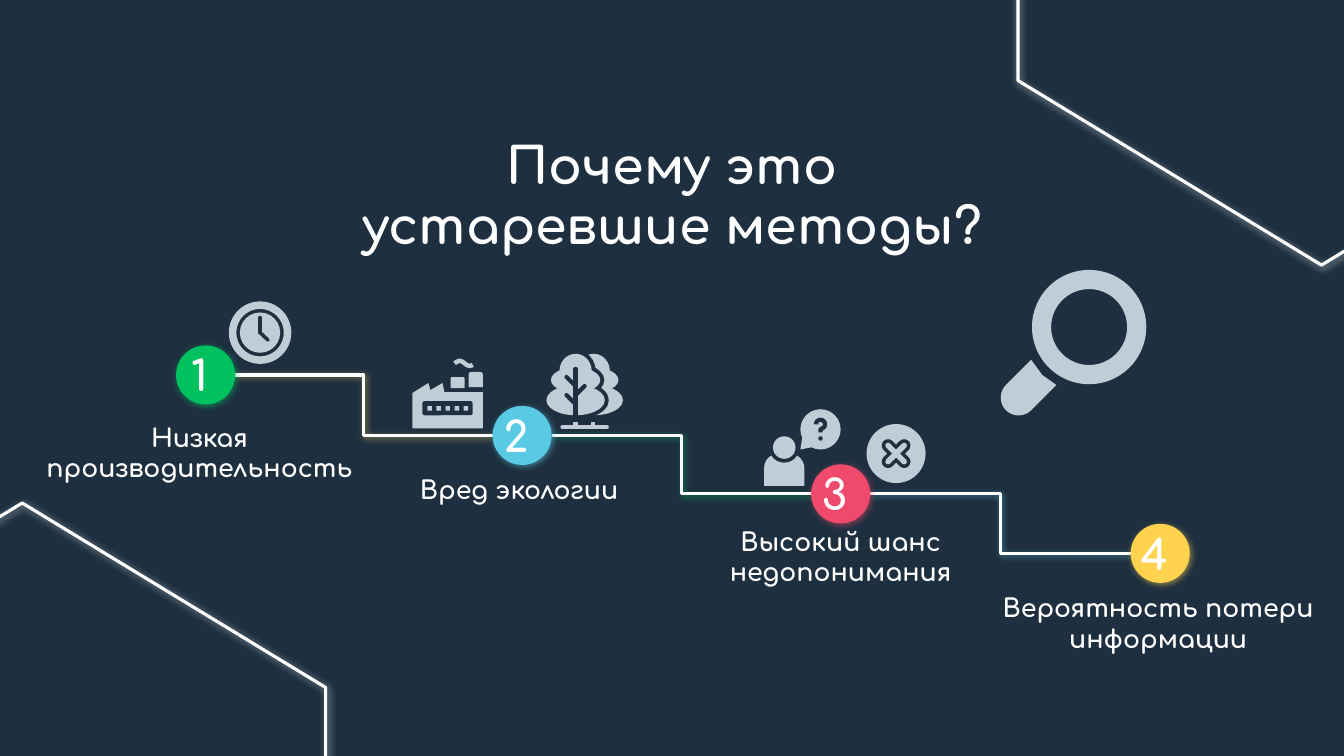
from math import cos, radians, sin

from pptx import Presentation
from pptx.dml.color import RGBColor
from pptx.enum.shapes import MSO_CONNECTOR as Link, MSO_SHAPE as Preset
from pptx.enum.text import MSO_ANCHOR as Anchor, MSO_AUTO_SIZE as AutoSize, PP_ALIGN as Align
from pptx.oxml.ns import qn
from pptx.oxml.xmlchemy import OxmlElement
from pptx.util import Inches, Pt

# Grid of square cells, 0.1 inch each
COLUMNS, ROWS, CELL = 133.33, 75, 0.1
COLORS = {"navy": "1E3040", "white": "FFFFFF", "icon": "C0CCD6", "green": "00C160",
          "blue": "5AC9E3", "red": "EF4A6B", "yellow": "FFD34D"}


def cells(count):
    return Inches(count * CELL)


def rgb(name):
    return RGBColor.from_string(COLORS[name])


def arc(cx, cy, radius, start, stop, steps=18):
    angles = [radians(start + (stop - start) * i / steps) for i in range(steps + 1)]
    return [(cx + radius * cos(a), cy + radius * sin(a)) for a in angles]


def glow(color, blur=4.5):
    """Effect list with a soft coloured shadow, or an empty one without a colour."""
    effects = OxmlElement("a:effectLst")
    if color:
        shadow = OxmlElement("a:outerShdw")
        for key, value in (("blurRad", Pt(blur)), ("dist", Pt(1.5)), ("dir", 54 * 60000),
                           ("algn", "bl"), ("rotWithShape", 0)):
            shadow.set(key, str(value))
        tint, alpha = OxmlElement("a:srgbClr"), OxmlElement("a:alpha")
        tint.set("val", COLORS[color])
        alpha.set("val", "52000")
        tint.append(alpha)
        shadow.append(tint)
        effects.append(shadow)
    return effects


def write(frame, text, size=18, color="white", halo=None):
    frame.word_wrap = True
    frame.auto_size = AutoSize.NONE
    frame.vertical_anchor = Anchor.MIDDLE
    frame.margin_left = frame.margin_right = frame.margin_top = frame.margin_bottom = cells(1)
    paragraph = frame.paragraphs[0]
    paragraph.text = text
    paragraph.alignment = Align.CENTER
    for run in paragraph.runs:
        font = run.font
        font.size, font.bold, font.name = Pt(size), True, "Comfortaa"
        font.color.rgb = rgb(color)
        if halo:
            run._r.rPr.find(qn("a:solidFill")).addnext(glow(halo))


class Board:
    def __init__(self, deck):
        self.slide = deck.slides.add_slide(deck.slide_layouts[5])
        self.shapes = self.slide.shapes
        self.slide.background.fill.solid()
        self.slide.background.fill.fore_color.rgb = rgb("navy")

    def style(self, shape, fill=None, line=None, width=2.25, halo=None, blur=4.5):
        if fill:
            shape.fill.solid()
            shape.fill.fore_color.rgb = rgb(fill)
        else:
            shape.fill.background()
        self.stroke(shape, line, width, halo, blur)
        return shape

    def stroke(self, shape, color, width, halo=None, blur=4.5, cap="flat"):
        if color:
            shape.line.color.rgb = rgb(color)
            shape.line.width = Pt(width)
            shape._element.spPr.find(qn("a:ln")).set("cap", cap)
        else:
            shape.line.fill.background()
        shape._element.spPr.append(glow(halo, blur))

    def preset(self, kind, x, y, w, h, adjust=(), **look):
        shape = self.shapes.add_shape(kind, cells(x), cells(y), cells(w), cells(h))
        for i, value in enumerate(adjust):
            shape.adjustments[i] = value
        return self.style(shape, **look)

    def disc(self, cx, cy, rx, ry=None, **look):
        ry = ry or rx
        return self.preset(Preset.OVAL, cx - rx, cy - ry, 2 * rx, 2 * ry, **look)

    def ring(self, cx, cy, radius, band):
        self.preset(Preset.DONUT, cx - radius, cy - radius, 2 * radius, 2 * radius,
                    adjust=[band / (2 * radius)], fill="icon")

    def outline(self, points, closed=True, **look):
        corners = [(cells(x), cells(y)) for x, y in points]
        builder = self.shapes.build_freeform(*corners[0])
        builder.add_line_segments(corners[1:], close=closed)
        return self.style(builder.convert_to_shape(), **look)

    def link(self, x1, y1, x2, y2, color="icon", width=3, kind=Link.STRAIGHT, halo=None, cap="rnd"):
        link = self.shapes.add_connector(kind, cells(x1), cells(y1), cells(x2), cells(y2))
        self.stroke(link, color, width, halo, cap=cap)

    def text(self, words, cx, cy, w, h, **look):
        box = self.shapes.add_textbox(cells(cx - w / 2), cells(cy - h / 2), cells(w), cells(h))
        write(box.text_frame, words, **look)

    def title(self, words, x, y, w, h, **look):
        title = self.shapes.title
        title.left, title.top, title.width, title.height = map(cells, (x, y, w, h))
        write(title.text_frame, words, **look)


def draw_clock(board):
    board.ring(25.8, 33, 3.1, 0.75)
    board.disc(25.8, 33, 2, fill="icon")
    board.link(25.8, 31.5, 25.8, 33, "navy", 2.5)
    board.link(25.8, 33, 26.6, 33.75, "navy", 2.5)


def draw_factory(board):
    board.outline([(40.9, 39), (42.5, 38), (42.7, 38.7), (43.9, 38), (44.1, 38.9),
                   (47.9, 38.9), (47.9, 42.5), (40.9, 42.5)], fill="icon")
    board.preset(Preset.ROUNDED_RECTANGLE, 41.9, 39.8, 5, 1.4, fill="navy")
    for window in range(5):
        board.preset(Preset.RECTANGLE, 42.4 + 0.9 * window, 40.3, 0.45, 0.45, fill="icon")
    for x, y, h in ((44.7, 37.4, 1.1), (46.5, 36.9, 1.5)):
        board.preset(Preset.ROUND_2_SAME_RECTANGLE, x, y, 1.4, h, fill="icon")
    smoke = [(45.1 + i / 10, 36.05 - 0.25 * sin(radians(18 * i))) for i in range(19)]
    board.outline(smoke, closed=False, line="icon", width=3.2)


def draw_trees(board):
    crown = ((57.1, 36.8, 1.6, 1.7), (57.1, 37.7, 2.45, 1.25), (57.1, 39.7, 2.9, 1.5))
    for shift, grow, color in ((1.8, 0, "icon"), (0, 0.4, "navy"), (0, 0, "icon")):
        for cx, cy, rx, ry in crown:
            board.disc(cx + shift, cy, rx + grow, ry + grow, fill=color)
    board.link(57.1, 36.6, 57.1, 41.4, "navy")
    for x, y in ((56.2, 37.4), (56.2, 39.2), (58, 38.3)):
        board.link(x, y, 57.1, y + 0.9, "navy")
    for x in (57.1, 58.8):
        board.link(x, 41.9, x, 42.4, cap="flat")
    board.link(55.8, 42.4, 60.2, 42.4)


def draw_question(board):
    board.preset(Preset.ROUND_2_SAME_RECTANGLE, 75.8, 45, 4, 3.2, adjust=[0.45], fill="icon")
    board.disc(77.8, 44.4, 1.5, fill="navy")
    board.disc(77.8, 44.4, 1.12, fill="icon")
    board.disc(81.4, 42.6, 2, fill="icon")
    board.outline([(79.6, 43.3), (79.4, 44.6), (80.9, 44.3)], fill="icon")
    board.outline(arc(81.4, 42.1, 0.45, 180, 405) + [(81.4, 42.6), (81.4, 42.9)],
                  closed=False, line="navy", width=3)
    board.disc(81.4, 43.5, 0.22, fill="navy")


def draw_cross(board):
    board.disc(88.9, 45, 2.93, fill="icon")
    for color, width in (("navy", 9), ("icon", 4)):
        for slope in (1, -1):
            board.link(88.1, 45 - 0.8 * slope, 89.7, 45 + 0.8 * slope, color, width)


def draw_magnifier(board):
    board.outline([(104.8, 38.2), (103.4, 37.2), (102.3, 35.7)]
                  + arc(101.05, 39.45, 1.77, 225, 45), fill="icon")
    board.ring(108.05, 32.45, 5.67, 1.9)


def main():
    deck = Presentation()
    deck.slide_width, deck.slide_height = cells(COLUMNS), cells(ROWS)
    board = Board(deck)

    # Corner hexagons
    for x, y in ((97.7, -37.2), (-31.2, 53.2)):
        hexagon = board.preset(Preset.HEXAGON, x, y, 66.8, 60.2, adjust=[0.304, 1.155],
                               line="white", halo="white", blur=5.6)
        hexagon.rotation = 90

    # Staircase: centre of each step, its colour, label and label centre
    radius = 2.93
    steps = [(20.4, 37.2, "green", "Низкая производительность", 19.8, 44.9),
             (51.8, 43.2, "blue", "Вред экологии", 51.5, 48.6),
             (83.4, 49, "red", "Высокий шанс недопонимания", 83.4, 55.2),
             (115.1, 54.9, "yellow", "Вероятность потери информации", 114.9, 61.8)]
    for (x1, y1, *_), (x2, y2, *_), halo in zip(steps, steps[1:], ("yellow", "green", "blue")):
        board.link(x1 + radius, y1, x2 - radius, y2, "white", 2.25, Link.ELBOW, halo, "flat")
    for number, (x, y, color, label, label_x, label_y) in enumerate(steps, 1):
        board.disc(x, y, radius, fill=color, halo=color)
        board.text(f"{number} ", x, y, 16, 4.6, size=30)
        board.text(label, label_x, label_y, 35, 5.2, halo="white")

    board.title("Почему это\vустаревшие методы?", 10.4, 15.8, 112.5, 7, size=36, halo="white")

    # Icons
    for draw in (draw_clock, draw_factory, draw_trees, draw_question, draw_cross, draw_magnifier):
        draw(board)
    deck.save("out.pptx")


if __name__ == "__main__":
    main()
